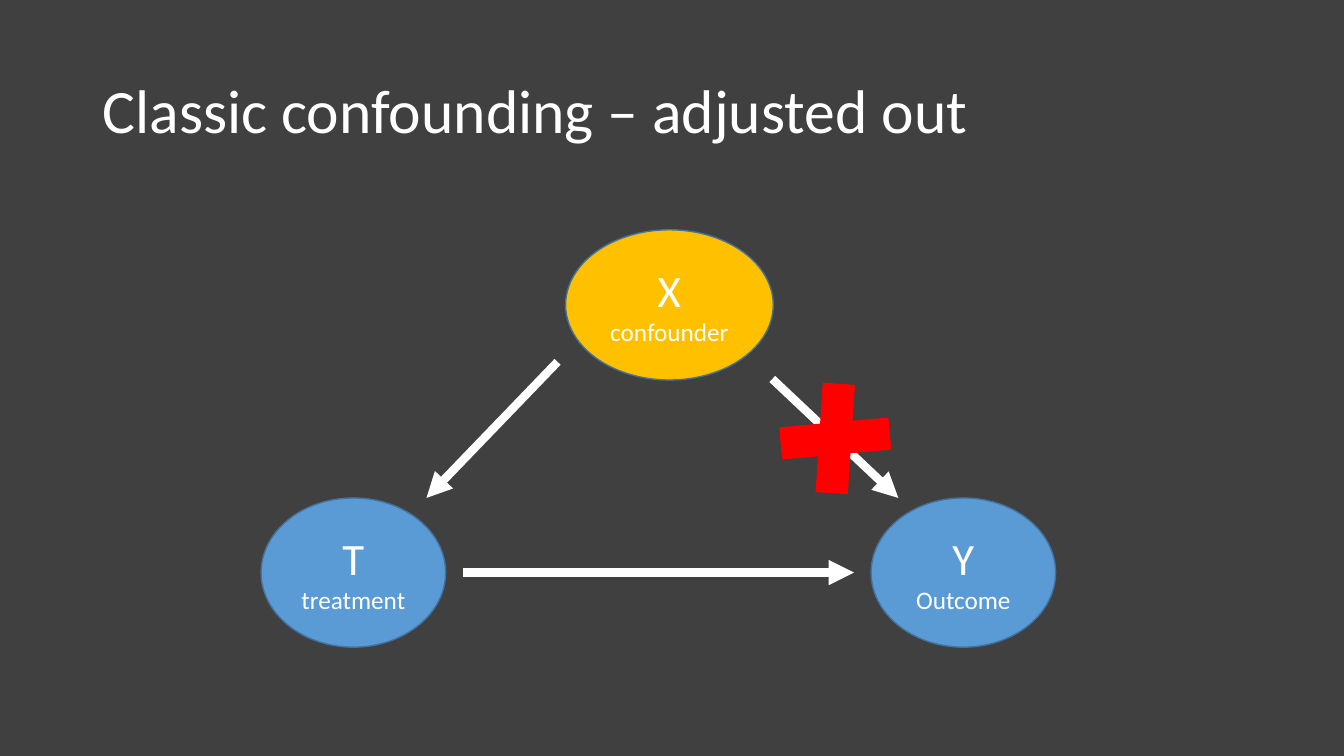
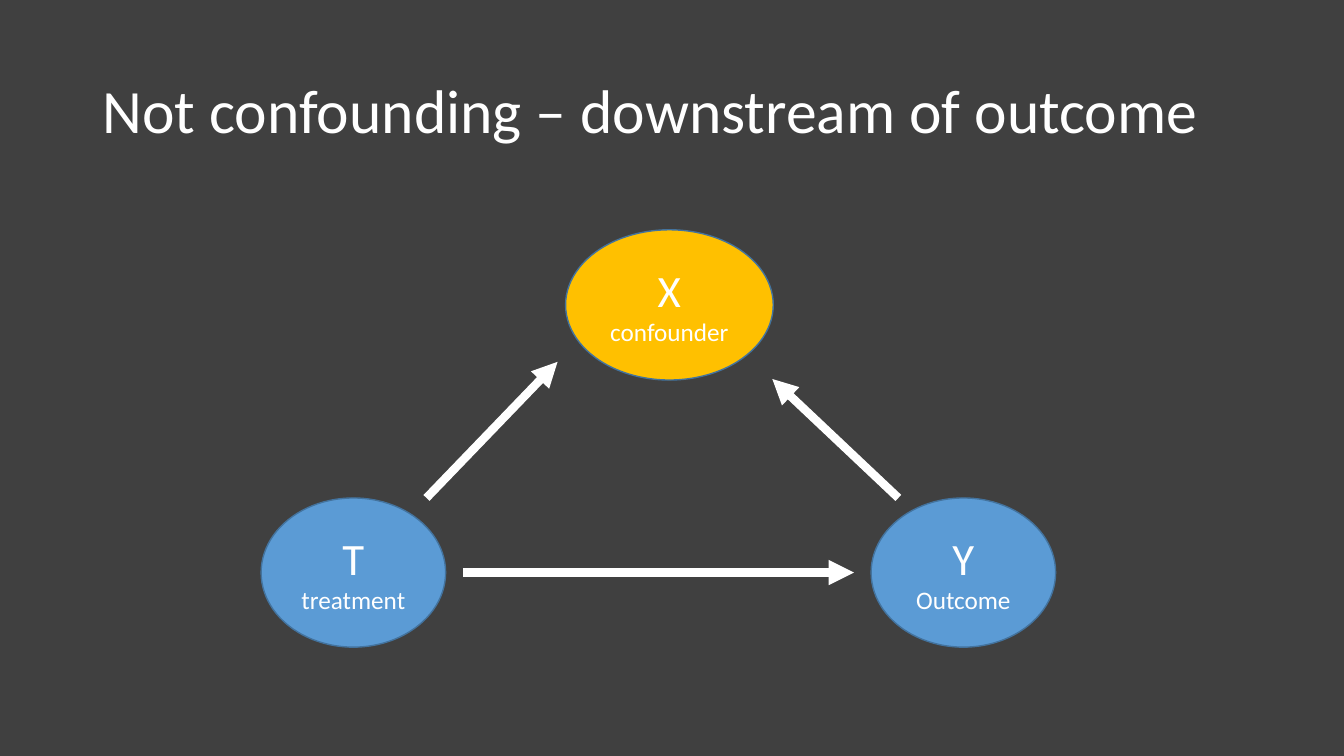
from lxml import etree
from pptx import Presentation
from pptx import util as u
from pptx.dml.color import RGBColor
from pptx.enum import shapes, text
from pptx.oxml.ns import qn

COLORS = {
    "background": "404040",
    "text": "FFFFFF",
    "variable": "5B9BD5",
    "confounder": "FFC000",
    "outline": "43739E",
    "cross": "FF0000",
}
COLORS = {name: RGBColor.from_string(value) for name, value in COLORS.items()}
FONT = "Calibri"

NODES = [
    ("T", "treatment", "variable", (2.59, 4.94, 1.83, 1.48)),
    ("Y", "Outcome", "variable", (8.64, 4.94, 1.83, 1.48)),
    ("X", "confounder", "confounder", (5.61, 2.28, 2.06, 1.49)),
]
T_TO_Y = ((4.59, 5.68), (8.47, 5.68))
X_TO_T = ((5.53, 3.59), (4.23, 4.94))
X_TO_Y = ((7.66, 3.76), (8.91, 4.94))

SLIDES = [
    ("Classic confounding – adjusted out", [T_TO_Y, X_TO_T, X_TO_Y], True),
    ("Not confounding – downstream of outcome", [T_TO_Y, X_TO_T[::-1], X_TO_Y[::-1]], False),
]


def inches(values):
    return [u.Inches(value) for value in values]


def format_runs(paragraph, sizes):
    for run, size in zip(paragraph.runs, sizes):
        run.font.name = FONT
        run.font.size = u.Pt(size)
        run.font.color.rgb = COLORS["text"]


presentation = Presentation()
presentation.slide_width, presentation.slide_height = inches((13.33, 7.5))
background = presentation.slide_master.background.fill
background.solid()
background.fore_color.rgb = COLORS["background"]

for title, arrows, adjusted in SLIDES:
    slide = presentation.slides.add_slide(presentation.slide_layouts[6])

    title_box = slide.shapes.add_textbox(*inches((0.92, 0.4, 11.5, 1.45)))
    title_box.text_frame.word_wrap = True
    title_box.text_frame.vertical_anchor = text.MSO_ANCHOR.MIDDLE
    paragraph = title_box.text_frame.paragraphs[0]
    paragraph.text = title
    paragraph.line_spacing = 0.9
    format_runs(paragraph, [44])

    for letter, role, color, box in NODES:
        node = slide.shapes.add_shape(shapes.MSO_SHAPE.OVAL, *inches(box))
        node.shadow.inherit = False
        node.fill.solid()
        node.fill.fore_color.rgb = COLORS[color]
        node.line.color.rgb = COLORS["outline"]
        node.line.width = u.Pt(1)
        node.text_frame.vertical_anchor = text.MSO_ANCHOR.MIDDLE
        paragraph = node.text_frame.paragraphs[0]
        paragraph.text = f"{letter}\v{role}"
        paragraph.alignment = text.PP_ALIGN.CENTER
        format_runs(paragraph, [32, 18])

    for start, end in arrows:
        arrow = slide.shapes.add_connector(
            shapes.MSO_CONNECTOR.STRAIGHT, *inches(start + end)
        )
        arrow.line.color.rgb = COLORS["text"]
        arrow.line.width = u.Pt(6)
        properties = arrow.line._get_or_add_ln()
        etree.SubElement(properties, qn("a:tailEnd"), type="triangle")
        etree.SubElement(properties.getparent(), qn("a:effectLst"))

    if adjusted:
        cross = slide.shapes.add_shape(
            shapes.MSO_SHAPE.MATH_MULTIPLY, *inches((7.49, 3.67, 1.59, 1.36))
        )
        cross.rotation = 314.3
        cross.shadow.inherit = False
        cross.fill.solid()
        cross.fill.fore_color.rgb = COLORS["cross"]
        cross.line.fill.background()

presentation.save("out.pptx")
